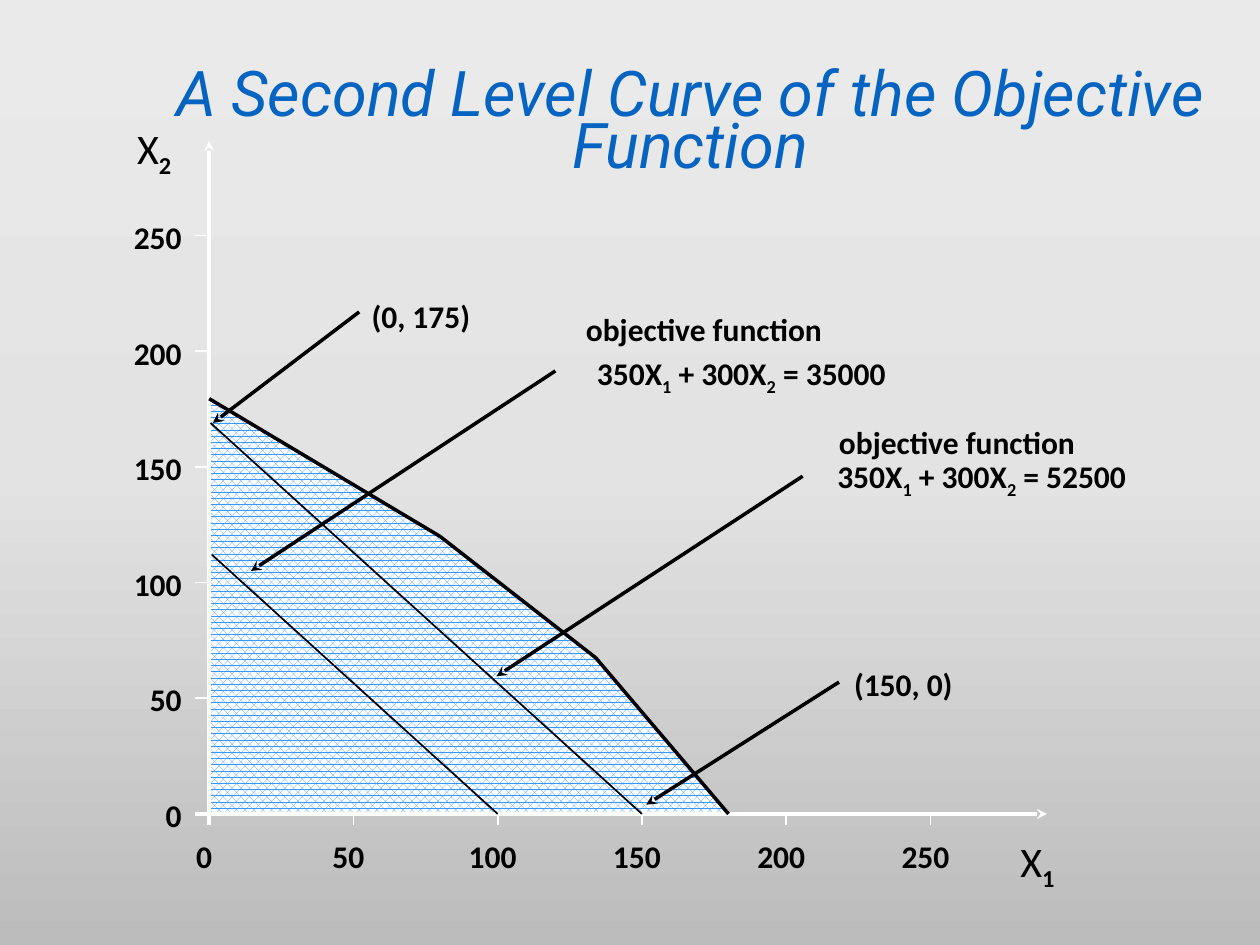
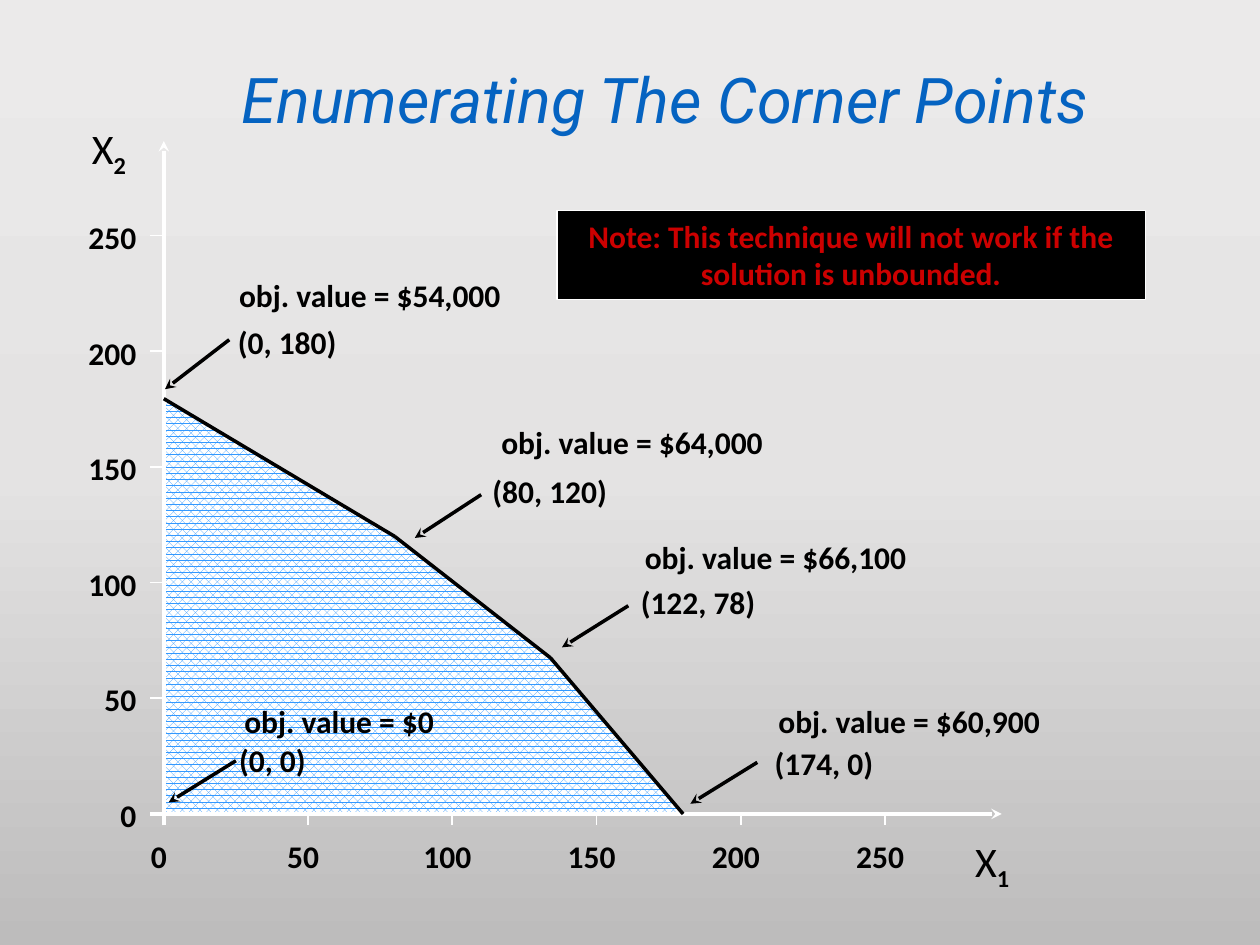
from copy import deepcopy

from lxml.etree import SubElement
from pptx import Presentation
from pptx.dml.color import RGBColor
from pptx.enum.dml import MSO_PATTERN
from pptx.enum.shapes import MSO_CONNECTOR, MSO_SHAPE
from pptx.enum.text import MSO_ANCHOR, MSO_AUTO_SIZE, PP_ALIGN
from pptx.oxml.ns import qn
from pptx.util import Inches, Pt

BLACK, WHITE, RED = "000000", "FFFFFF", "CC0000"
TITLE_BLUE, REGION_BLUE = "0563C1", "3399FF"
BACKDROP = ("EBEAEA", "E4E3E3", "BDBCBC")
BASELINE = 6.46                    # height of the horizontal axis on every page
X_STEP, Y_STEP = 1.145, 0.918      # inches per 50 axis units
TICK = 50
CORNERS = [(0, 179.5), (80, 120), (134, 67.5), (180, 0)]
LABEL_HEIGHT = 0.4


def colour(value):
    """Turn a hex string into a colour."""
    return RGBColor.from_string(value)


def apply(target, values):
    """Set every attribute named in a dict."""
    for name, value in values.items():
        setattr(target, name, value)


def set_backdrop(deck):
    """Give the master its three-stop vertical gradient."""
    fill = deck.slide_master.background.fill
    fill.gradient()
    fill.gradient_angle = 270
    stop_list = deck.slide_master.element.find(".//" + qn("a:gsLst"))
    stop_list.insert(1, deepcopy(stop_list[0]))
    for index, (stop, value) in enumerate(zip(fill.gradient_stops, BACKDROP)):
        stop.color.rgb = colour(value)
        stop.position = index / 2


def add_span(para, text, size=18, ink=BLACK, bold=True, font="Calibri", italic=False):
    """Add one formatted run to a paragraph."""
    span = para.add_run()
    span.text = text
    apply(span.font, {"size": Pt(size), "bold": bold, "italic": italic, "name": font})
    span.font.color.rgb = colour(ink)
    return span


def write(para, text, size=18, bold=True):
    """Write text in which an underscore lowers the next character."""
    first, *rest = text.split("_")
    add_span(para, first, size, bold=bold)
    for piece in rest:
        lowered = add_span(para, piece[0], size)
        lowered.font._element.set("baseline", "-25000")
        if piece[1:]:
            add_span(para, piece[1:], size, bold=bold)


def add_label(page, left, top, width, text, align=PP_ALIGN.LEFT, size=18, bold=True):
    """Place a one-line text box, in inches."""
    height = LABEL_HEIGHT if size == 18 else 0.5
    box = page.shapes.add_textbox(*map(Inches, (left, top, width, height)))
    apply(box.text_frame, {"word_wrap": True, "auto_size": MSO_AUTO_SIZE.SHAPE_TO_FIT_TEXT})
    para = box.text_frame.paragraphs[0]
    para.alignment = align
    write(para, text, size, bold)


def add_line(page, start, end, ink=BLACK, weight=2, arrow=False):
    """Draw a straight line between two points in inches."""
    line = page.shapes.add_connector(MSO_CONNECTOR.STRAIGHT, *map(Inches, (*start, *end)))
    line.line.color.rgb = colour(ink)
    line.line.width = Pt(weight)
    properties = line._element.spPr
    if arrow:
        SubElement(properties.find(qn("a:ln")), qn("a:tailEnd"), type="stealth")
    SubElement(properties, qn("a:effectLst"))


def add_page(deck, title, box, spacing):
    """Start a page with its title placed in the given box."""
    page = deck.slides.add_slide(deck.slide_layouts[5])
    holder = page.shapes.title
    apply(holder, dict(zip(("left", "top", "width", "height"), map(Inches, box))))
    apply(holder.text_frame, {"word_wrap": True, "auto_size": MSO_AUTO_SIZE.NONE,
                              "vertical_anchor": MSO_ANCHOR.MIDDLE})
    para = holder.text_frame.paragraphs[0]
    apply(para, {"alignment": PP_ALIGN.CENTER, "line_spacing": spacing})
    add_span(para, title, 36, TITLE_BLUE, False, "Roboto", True)
    return page


def point(origin, x, y):
    """Convert axis units to inches on the page."""
    return origin + x / TICK * X_STEP, BASELINE - y / TICK * Y_STEP


def add_region(page, origin):
    """Fill the feasible region with a pattern."""
    outline = [tuple(map(Inches, point(origin, x, y))) for x, y in [(0, 0), *CORNERS]]
    builder = page.shapes.build_freeform(*outline[0], scale=1.0)
    builder.add_line_segments(outline[1:], close=True)
    region = builder.convert_to_shape()
    region.shadow.inherit = False
    region.fill.patterned()
    region.fill.pattern = MSO_PATTERN.PERCENT_70
    region.fill.fore_color.rgb = colour(REGION_BLUE)
    region.fill.back_color.rgb = colour(WHITE)
    region.line.color.rgb = colour(BLACK)
    region.line.width = Pt(1)


def add_axes(page, origin):
    """Draw both axes with ticks, numbers and names."""
    add_line(page, (origin - 0.11, BASELINE), (origin + 6.65, BASELINE), WHITE, 2, True)
    add_line(page, (origin, BASELINE + 0.09), (origin, 1.12), WHITE, 2, True)
    for value in range(0, 300, TICK):
        across, _ = point(origin, value, 0)
        _, level = point(origin, 0, value)
        if value:
            add_line(page, (across, BASELINE), (across, BASELINE + 0.09), WHITE, 1)
            add_line(page, (origin, level), (origin - 0.11, level), WHITE, 1)
        add_label(page, across - 0.35, 6.59, 0.62, str(value), PP_ALIGN.CENTER)
        add_label(page, origin - 0.74, level - 0.19, 0.62, str(value), PP_ALIGN.RIGHT)
    add_label(page, origin - 0.67, 0.92, 1.08, "X_2", size=24, bold=False)
    add_label(page, origin + 6.34, 6.58, 1.08, "X_1", size=24, bold=False)


def add_plot(page, origin):
    """Draw the region, the axes and the binding constraints."""
    add_region(page, origin)
    add_axes(page, origin)
    for start, end in zip(CORNERS, CORNERS[1:]):
        add_line(page, point(origin, *start), point(origin, *end))


def add_callouts(page, origin, arrows, labels):
    """Add arrows and labels (x, y, width, text, alignment) in axis units."""
    for start, end in arrows:
        add_line(page, point(origin, *start), point(origin, *end), arrow=True)
    for x, y, width, text, align in labels:
        add_label(page, *point(origin, x, y), width / TICK * X_STEP, text, align)


def add_note(page, box, text):
    """Add the black note with red text."""
    note = page.shapes.add_shape(MSO_SHAPE.RECTANGLE, *map(Inches, box))
    note.shadow.inherit = False
    note.fill.solid()
    note.fill.fore_color.rgb = colour(BLACK)
    note.line.color.rgb = colour(WHITE)
    note.line.width = Pt(0.75)
    apply(note.text_frame, {"word_wrap": True, "vertical_anchor": MSO_ANCHOR.TOP})
    para = note.text_frame.paragraphs[0]
    para.alignment = PP_ALIGN.CENTER
    add_span(para, text, ink=RED)


def build_level_curves(deck):
    """Page with two level curves of the objective function."""
    page = add_page(deck, "A Second Level Curve of the Objective Function",
                    (1.23, 0.67, 8.5, 0.67), 0.7)
    origin = 1.66
    add_plot(page, origin)
    for start, end in [((100, 0), (1, 112)), ((150, 0), (0.5, 169))]:
        add_line(page, point(origin, *start), point(origin, *end), weight=1)
    arrows = [((52, 217), (1.3, 169)), ((218.3, 57), (151.5, 4)),
              ((120, 191.5), (14.5, 105)), ((205.7, 146), (99.6, 59.5))]
    left, center = PP_ALIGN.LEFT, PP_ALIGN.CENTER
    labels = [(52, 226, 65.5, "(0, 175)", left),
              (219.2, 67, 54, "(150, 0)", left),
              (114, 220.6, 117.5, "objective function ", center),
              (94.3, 201.5, 180.3, "350X_1 + 300X_2 = 35000", center),
              (201.7, 171.6, 117.5, "objective function ", center),
              (204, 157, 127.5, "350X_1 + 300X_2 = 52500", center)]
    add_callouts(page, origin, arrows, labels)


def build_corner_points(deck):
    """Page that lists the objective value at each corner."""
    page = add_page(deck, "Enumerating The Corner Points", (1.25, 0.5, 8.06, 0.67), 0.8)
    origin = 1.3
    add_plot(page, origin)
    # corner, its label and width, value, its label and width, arrow start and end
    corners = [
        ("(0, 180)", (21.4, 215), 65.5, "54,000", (21.8, 235.3), 123, (22.7, 205), (0.4, 183.6)),
        ("(80, 120)", (109.6, 150.3), 54, "64,000", (112.7, 171.6), 122, (110, 138), (87, 119.3)),
        ("(122, 78)", (161, 102.4), 65, "66,100", (162.4, 122), 112.7, (161, 90), (138, 72)),
        ("(174, 0)", (207.4, 32.7), 54, "60,900", (208.7, 51.2), 121.4, (205.7, 22.3), (182.5, 4.4)),
        ("(0, 0)", (21.8, 34.3), 54, "0", (23.6, 51.2), 87, (25, 23), (1.7, 5)),
    ]
    for corner, spot, width, value, value_spot, value_width, start, end in corners:
        labels = [(*spot, width, corner, PP_ALIGN.LEFT),
                  (*value_spot, value_width, f"obj. value = ${value}", PP_ALIGN.LEFT)]
        add_callouts(page, origin, [(start, end)], labels)
    add_note(page, (4.42, 1.67, 4.67, 0.71),
             "Note: This technique will not work if the solution is unbounded.")


deck = Presentation()
apply(deck, {"slide_width": Inches(10), "slide_height": Inches(7.5)})
set_backdrop(deck)
build_level_curves(deck)
build_corner_points(deck)
deck.save("out.pptx")
